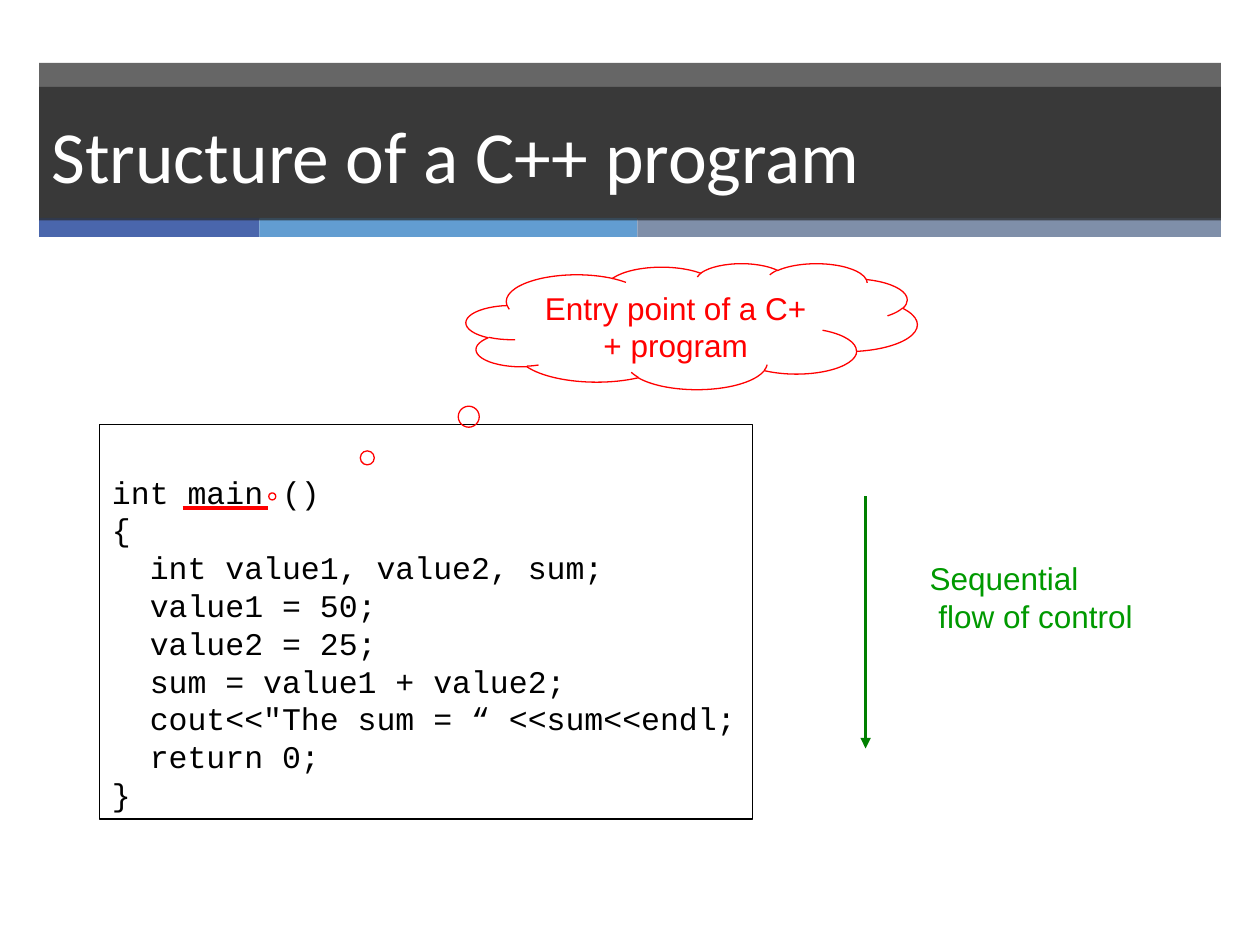
"""Build a slide on the structure of a C++ program."""
from lxml import etree
from pptx import Presentation
from pptx import util as u
from pptx.dml.color import RGBColor
from pptx.enum import shapes, text
from pptx.oxml import ns

WHITE = RGBColor(0xFF, 0xFF, 0xFF)
BLACK = RGBColor(0, 0, 0)
DARK = RGBColor(0x26, 0x26, 0x26)
BLUE = RGBColor(0x4A, 0x66, 0xAC)
SKY = RGBColor(0x62, 0x9D, 0xD1)
SLATE = RGBColor(0x7F, 0x8F, 0xA9)
RED = RGBColor(0xFF, 0, 0)
GREEN = RGBColor(0, 0x80, 0)
LIME = RGBColor(0, 0x99, 0)

CODE = """int main ()
{
  int value1, value2, sum;
  value1 = 50;
  value2 = 25;
  sum = value1 + value2;
  cout<<"The sum = “ <<sum<<endl;
  return 0;
}"""


class Deck:
    def __init__(self):
        self.show = Presentation()
        self.show.slide_width = u.Inches(10)
        self.show.slide_height = u.Inches(7.5)
        self.slide = self.show.slides.add_slide(self.show.slide_layouts[6])
        self.body = {"size": u.Pt(18), "name": "Arial"}
        self.lead = u.Pt(21.6)

    def shape(self, kind, box, fill=None, line=None, alpha=None):
        item = self.slide.shapes.add_shape(kind, *map(u.Inches, box))
        item.shadow.inherit = False
        if fill is None:
            item.fill.background()
        else:
            item.fill.solid()
            item.fill.fore_color.rgb = fill
        if alpha:
            tint = item._element.spPr.find(".//" + ns.qn("a:srgbClr"))
            etree.SubElement(tint, ns.qn("a:alpha"), val=str(alpha * 1000))
        if line is None:
            item.line.fill.background()
        else:
            item.line.color.rgb = line
            item.line.width = u.Pt(0.75)
        return item

    def bar(self, box, fill, alpha=None):
        return self.shape(shapes.MSO_SHAPE.RECTANGLE, box, fill, alpha=alpha)

    def label(self, box):
        return self.slide.shapes.add_textbox(*map(u.Inches, box))

    def letter(self, item, words, color, wrap=True, lead=None,
               align=text.PP_ALIGN.LEFT, anchor=text.MSO_ANCHOR.TOP, **font):
        frame = item.text_frame
        frame.text = words
        frame.word_wrap = wrap
        frame.vertical_anchor = anchor
        for para in frame.paragraphs:
            para.alignment = align
            if lead:
                para.line_spacing = lead
            for run in para.runs:
                for key, value in {**self.body, **font}.items():
                    setattr(run.font, key, value)
                run.font.color.rgb = color

    def line(self, start, end, color, width, arrow=False):
        ends = map(u.Inches, (*start, *end))
        item = self.slide.shapes.add_connector(shapes.MSO_CONNECTOR.STRAIGHT, *ends)
        item.line.color.rgb = color
        item.line.width = u.Pt(width)
        props = item._element.spPr
        if arrow:
            etree.SubElement(props.find(ns.qn("a:ln")), ns.qn("a:tailEnd"), type="triangle")
        etree.SubElement(props, ns.qn("a:effectLst"))


def main():
    deck = Deck()
    deck.bar((0.31, 0.5, 9.38, 1.24), DARK, 70)
    left = 0.31
    for width, color in ((1.75, BLUE), (3, SKY), (4.63, SLATE)):
        deck.bar((left, 1.73, width, 0.15), color)
        left += width
    title = deck.bar((0.31, 0.69, 9.38, 1.06), DARK, 70)
    deck.letter(title, "Structure of a C++ program", WHITE,
                anchor=text.MSO_ANCHOR.MIDDLE, size=u.Pt(42), name="Calibri")

    code = deck.shape(shapes.MSO_SHAPE.RECTANGLE, (0.79, 3.37, 5.18, 3.13), line=BLACK)
    deck.letter(code, CODE, BLACK, wrap=False, lead=deck.lead,
                anchor=text.MSO_ANCHOR.BOTTOM, name="Courier New")

    cloud = deck.shape(shapes.MSO_SHAPE.CLOUD_CALLOUT, (3.7, 2.09, 3.58, 1), line=RED)
    cloud.adjustments[0] = -0.93
    cloud.adjustments[1] = 1.35
    deck.letter(cloud, "Entry point of a C++ program", RED, lead=deck.lead,
                align=text.PP_ALIGN.CENTER)

    deck.line((6.87, 3.94), (6.87, 5.94), GREEN, 1.25, arrow=True)
    flow = deck.label((7.28, 4.39, 1.81, 0.7))
    deck.letter(flow, "Sequential\n flow of control", LIME, wrap=False, lead=deck.lead)
    deck.line((1.45, 4.03), (2.13, 4.03), RED, 2)
    deck.show.save("out.pptx")


if __name__ == "__main__":
    main()
